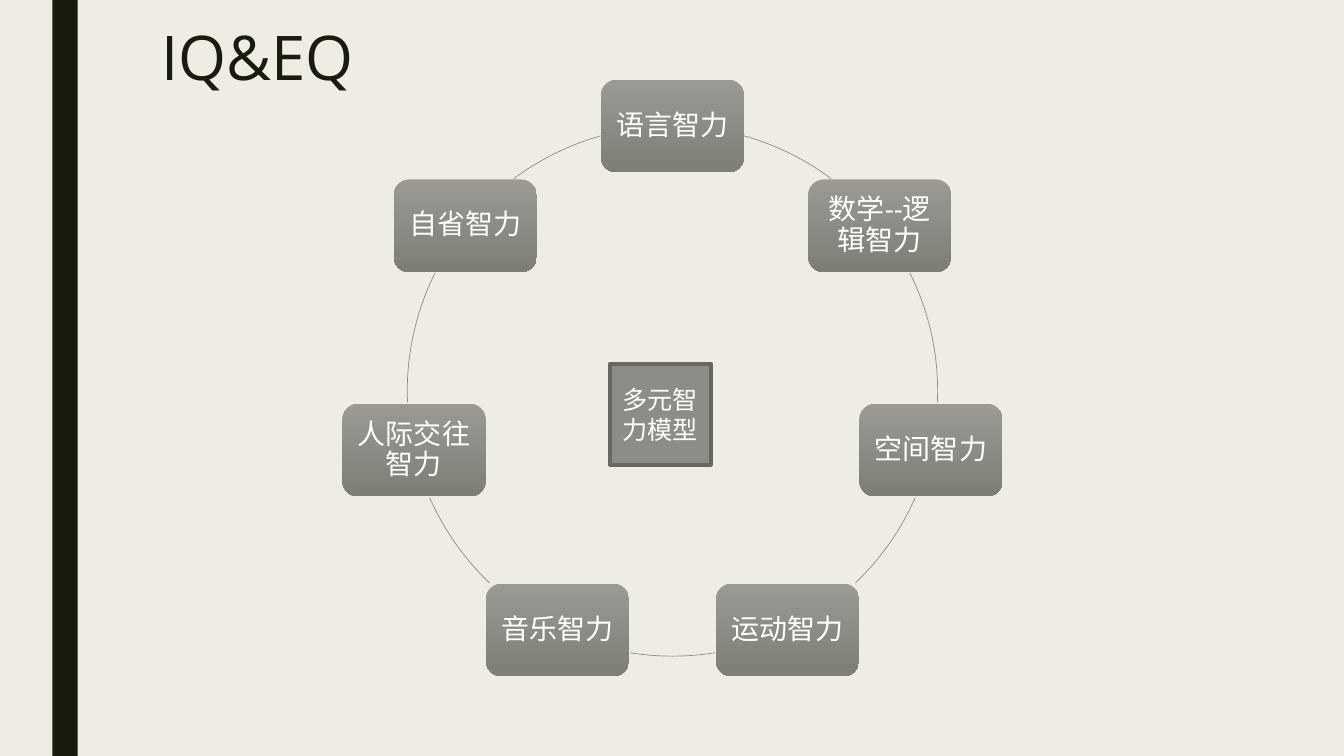
import math

from pptx import Presentation
from pptx import util as u
from pptx.dml.color import RGBColor
from pptx.enum import shapes, text

FONT = "Open Sans"
INK, GRAY, WHITE = "191B0E", "8C8D86", "FFFFFF"


def color(value):
    return RGBColor.from_string(value)


def write(shape, words, size, ink=WHITE, align=text.PP_ALIGN.CENTER, inset=0.1, spacing=1.0):
    frame = shape.text_frame
    frame.word_wrap = True
    frame.vertical_anchor = text.MSO_ANCHOR.MIDDLE
    frame.margin_left = frame.margin_right = u.Inches(inset)
    frame.margin_top = frame.margin_bottom = u.Inches(0.05)
    paragraph = frame.paragraphs[0]
    paragraph.alignment = align
    paragraph.line_spacing = spacing
    run = paragraph.add_run()
    run.text = words
    run.font.name = FONT
    run.font.size = u.Pt(size)
    run.font.color.rgb = color(ink)


presentation = Presentation()
presentation.slide_width = u.Inches(13.33)
presentation.slide_height = u.Inches(7.5)
slide = presentation.slides.add_slide(presentation.slide_layouts[6])
slide.background.fill.solid()
slide.background.fill.fore_color.rgb = color("EFEDE3")

# Side bar
bar = slide.shapes.add_shape(shapes.MSO_SHAPE.RECTANGLE, u.Inches(0.52), 0,
                             u.Inches(0.25), u.Inches(7.5))
bar.shadow.inherit = False
bar.fill.solid()
bar.fill.fore_color.rgb = color(INK)
bar.line.fill.background()

# Title
title = slide.shapes.add_textbox(u.Inches(1.5), u.Inches(0.12), u.Inches(10.5), u.Inches(0.86))
write(title, "IQ&EQ", 44, ink=INK, align=text.PP_ALIGN.LEFT)

# Ring: arcs between the boxes, in degrees clockwise from the right
center_x, center_y, radius = 6.67, 3.88, 2.63
arcs = [(285.7, 306.7), (333.5, 2.4), (23.7, 46.4), (80.8, 99.2),
        (133.6, 156.3), (177.6, 206.5), (233.3, 254.3)]
for start, end in arcs:
    arc = slide.shapes.add_shape(shapes.MSO_SHAPE.ARC,
                                 u.Inches(center_x - radius), u.Inches(center_y - radius),
                                 u.Inches(2 * radius), u.Inches(2 * radius))
    arc.shadow.inherit = False
    # Arc angles are stored in 60000ths of a degree, adjustments in 100000ths
    arc.adjustments[0] = start * 0.6
    arc.adjustments[1] = end * 0.6
    arc.fill.background()
    arc.line.color.rgb = color(GRAY)
    arc.line.width = u.Pt(0.5)

# Intelligences, clockwise from the top
intelligences = ["语言智力", "数学--逻辑智力", "空间智力", "运动智力",
                 "音乐智力", "人际交往智力", "自省智力"]
box_width, box_height = 1.42, 0.92
for index, name in enumerate(intelligences):
    angle = 2 * math.pi * index / len(intelligences)
    left = center_x + radius * math.sin(angle) - box_width / 2
    top = center_y - radius * math.cos(angle) - box_height / 2
    box = slide.shapes.add_shape(shapes.MSO_SHAPE.ROUNDED_RECTANGLE, u.Inches(left),
                                 u.Inches(top), u.Inches(box_width), u.Inches(box_height))
    box.shadow.inherit = False
    box.fill.gradient()
    box.fill.gradient_angle = 270
    for stop, shade in zip(box.fill.gradient_stops, ("999A94", "7D7E76")):
        stop.color.rgb = color(shade)
    box.fill.gradient_stops[0].position = 0
    box.fill.gradient_stops[1].position = 1
    box.line.fill.background()
    write(box, name, 20, inset=0.08, spacing=0.9)

# Model name in the middle
model = slide.shapes.add_shape(shapes.MSO_SHAPE.RECTANGLE, u.Inches(6.05), u.Inches(3.61),
                               u.Inches(1), u.Inches(1))
model.shadow.inherit = False
model.fill.solid()
model.fill.fore_color.rgb = color(GRAY)
model.line.color.rgb = color("686863")
model.line.width = u.Pt(2.75)
write(model, "多元智力模型", 18)

presentation.save("out.pptx")
